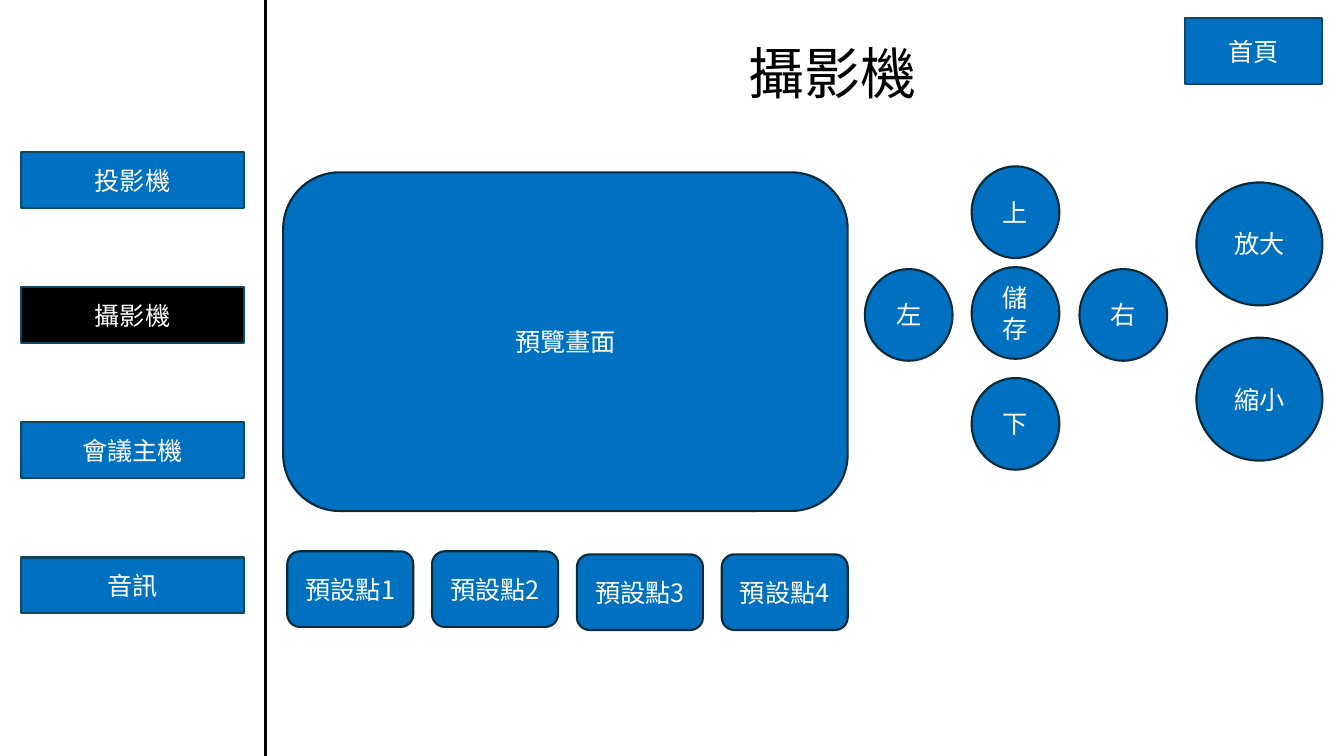
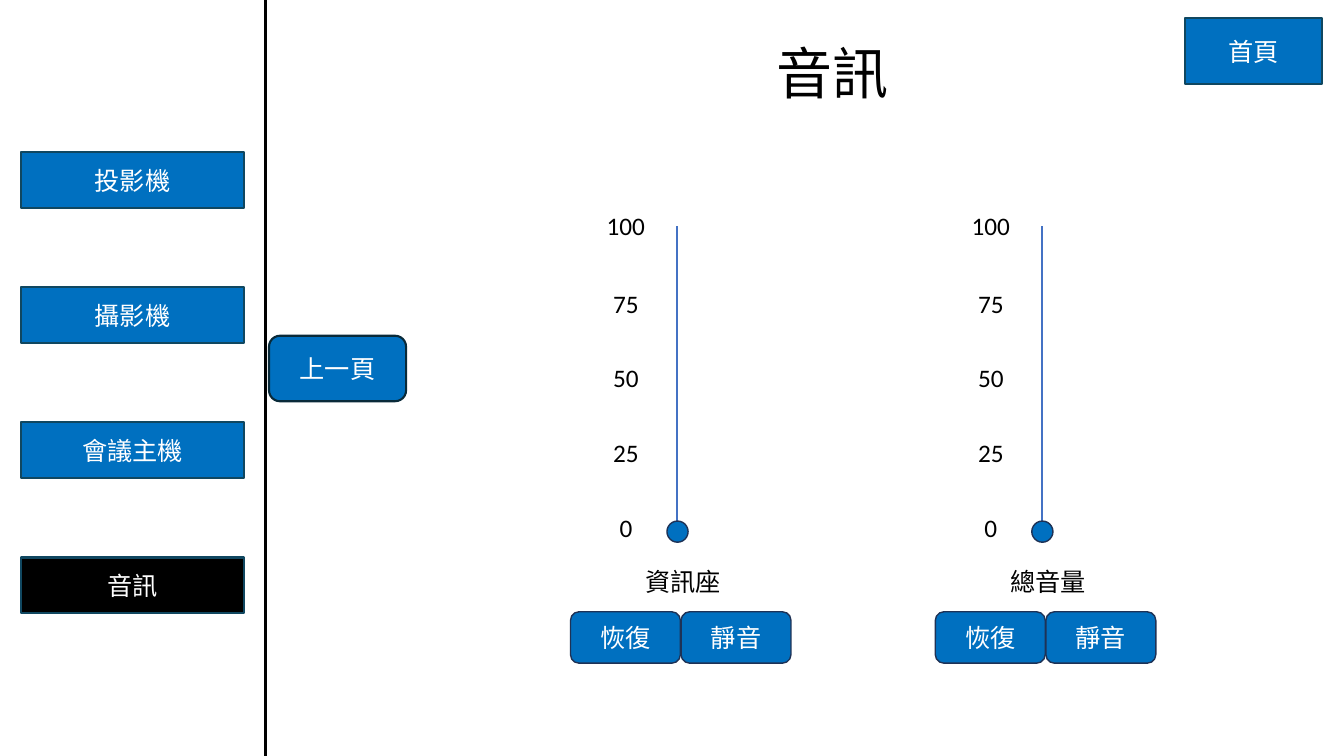
from lxml import etree
from pptx import Presentation
from pptx.dml.color import RGBColor
from pptx.enum.shapes import MSO_CONNECTOR, MSO_SHAPE
from pptx.enum.text import MSO_ANCHOR, MSO_AUTO_SIZE, PP_ALIGN
from pptx.oxml.ns import qn
from pptx.util import Pt

RECTANGLE = MSO_SHAPE.RECTANGLE
ROUNDED = MSO_SHAPE.ROUNDED_RECTANGLE
ELLIPSE = MSO_SHAPE.OVAL
STRAIGHT = MSO_CONNECTOR.STRAIGHT
MIDDLE = MSO_ANCHOR.MIDDLE
CENTER = PP_ALIGN.CENTER
GROW = MSO_AUTO_SIZE.SHAPE_TO_FIT_TEXT

COLORS = {
    "blue": "0070C0",
    "black": "000000",
    "white": "FFFFFF",
    "menu_line": "104760",
    "button_line": "092A39",
    "slider_line": "1E3256",
    "track": "4472C4",
}
CJK_FONT = "Noto Sans CJK SC"
MENU = ["投影機", "攝影機", "會議主機", "音訊"]
BUTTON = {"line": "button_line", "line_width": 1.5}
MENU_BUTTON = {"line": "menu_line", "line_width": 1.5}
SLIDER_BUTTON = {"line": "slider_line", "line_width": 1}


def add_item(shapes, kind, box, text="", line=None, line_width=1.5, fill="blue",
             color="white", size=18, font=CJK_FONT, wrap=True):
    lengths = [Pt(value) for value in box]
    if kind is None:
        shape = shapes.add_textbox(*lengths)
        frame_format = {"word_wrap": wrap, "auto_size": GROW}
    else:
        shape = shapes.add_shape(kind, *lengths)
        shape.shadow.inherit = False
        shape.fill.solid()
        shape.fill.fore_color.rgb = RGBColor.from_string(COLORS[fill])
        shape.line.color.rgb = RGBColor.from_string(COLORS[line])
        shape.line.width = Pt(line_width)
        frame_format = {"word_wrap": wrap, "vertical_anchor": MIDDLE}
    if not text:
        return
    for name, value in frame_format.items():
        setattr(shape.text_frame, name, value)
    paragraph = shape.text_frame.paragraphs[0]
    paragraph.text = text
    paragraph.alignment = CENTER
    for run in paragraph.runs:
        for name, value in {"size": Pt(size), "name": font}.items():
            setattr(run.font, name, value)
        run.font.color.rgb = RGBColor.from_string(COLORS[color])
        east_asian = etree.SubElement(run.font._element, qn("a:ea"))
        east_asian.set("typeface", font)


def add_line(shapes, points, color, width):
    connector = shapes.add_connector(STRAIGHT, *[Pt(value) for value in points])
    connector.line.color.rgb = RGBColor.from_string(COLORS[color])
    connector.line.width = Pt(width)
    etree.SubElement(connector._element.spPr, qn("a:effectLst"))


presentation = Presentation()
presentation.slide_width = Pt(960)
presentation.slide_height = Pt(540)

slides = {}
for title in ["攝影機", "音訊"]:
    slide = presentation.slides.add_slide(presentation.slide_layouts[6])
    slides[title] = slide
    add_line(slide.shapes, (189.4, 0, 189.4, 540), "black", 2)
    add_item(slide.shapes, None, (475.2, 23.8, 238.3, 55.4), title, color="black", size=40)
    add_item(slide.shapes, RECTANGLE, (846.7, 13, 97.9, 46.8), "首頁", **MENU_BUTTON)
    for row, entry in enumerate(MENU):
        add_item(slide.shapes, RECTANGLE, (15.1, 108.7 + 96.5 * row, 159.1, 39.6), entry,
                 fill="black" if entry == title else "blue", **MENU_BUTTON)

camera = slides["攝影機"].shapes
add_item(camera, ROUNDED, (202.3, 123.1, 403.2, 241.9), "預覽畫面", **BUTTON)
for index, top in enumerate([393.8, 393.8, 396, 396]):
    add_item(camera, ROUNDED, (205.2 + 103.45 * index, top, 90, 54),
             f"預設點{index + 1}", **BUTTON)
for text, left, top in [
    ("上", 694.1, 118.8),
    ("儲\n存", 694.1, 190.8),
    ("右", 771.1, 192.2),
    ("左", 617.8, 192.2),
    ("下", 694.1, 270),
]:
    add_item(camera, ELLIPSE, (left, top, 62.6, 65.5), text, **BUTTON)
for text, top in [("放大", 130.3), ("縮小", 241.2)]:
    add_item(camera, ELLIPSE, (854.6, top, 90, 87.8), text, **BUTTON)

audio = slides["音訊"].shapes
SCALE = {"100": 146.9, "75": 202.3, "50": 255.6, "25": 308.9, "0": 362.2}
for index, name in enumerate(["資訊座", "總音量"]):
    slider = audio.add_group_shape().shapes
    track = 483.8 + 260.6 * index
    add_line(slider, (track, 380.9, track, 161.3), "track", 1.5)
    add_item(slider, ELLIPSE, (track - 7.4, 372.2, 15.1, 15.1), **SLIDER_BUTTON)
    add_item(slider, None, (track - 30.2, 401, 69.1, 28.8), name, color="black", wrap=False)
    for column, text in enumerate(["恢復", "靜音"]):
        add_item(slider, ROUNDED, (track - 76.3 + 79 * column, 437, 78.5, 36.7), text,
                 **SLIDER_BUTTON)
    for text, top in SCALE.items():
        width = 14.4 + 9.2 * len(text)
        add_item(slider, None, (track - 36.7 - width / 2, top, width, 28.8), text,
                 color="black", font="Calibri", wrap=False)
add_item(audio, ROUNDED, (192.2, 239.8, 97.9, 46.8), "上一頁", font="Roboto", **BUTTON)

presentation.save("out.pptx")
